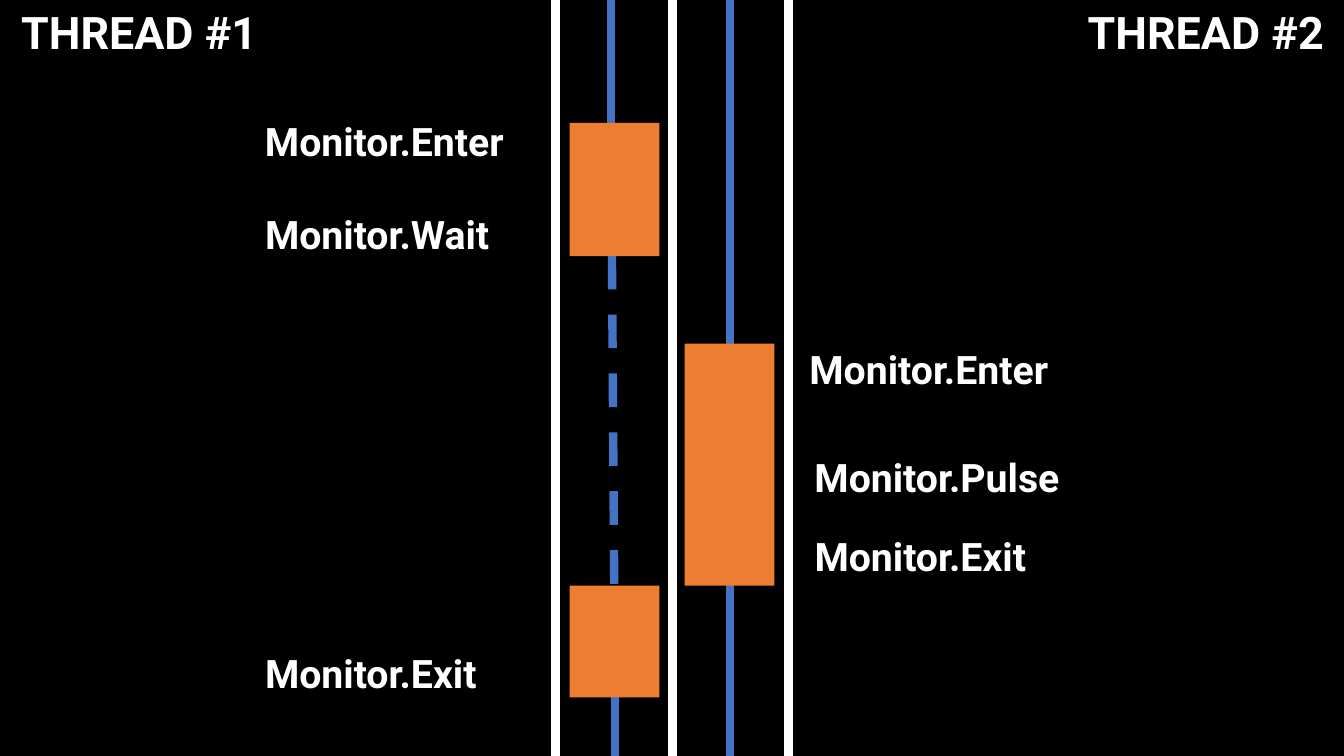
"""Build a slide showing two threads coordinating through Monitor calls."""
import lxml.etree
import pptx
import pptx.dml.color
import pptx.enum.dml
import pptx.enum.shapes
import pptx.enum.text
import pptx.oxml.ns
import pptx.util

Inches = pptx.util.Inches
WHITE, BLUE, ORANGE, BLACK = "FFFFFF", "4472C4", "ED7D31", "000000"


def rgb(color):
    return pptx.dml.color.RGBColor.from_string(color)


def write(s, text, *, left, top, width, height, size, color=WHITE, font="Roboto"):
    s.left, s.top, s.width, s.height = (Inches(v) for v in (left, top, width, height))
    tf = s.text_frame
    tf.word_wrap = True
    tf.auto_size = pptx.enum.text.MSO_AUTO_SIZE.NONE
    tf.vertical_anchor = pptx.enum.text.MSO_ANCHOR.TOP
    p = tf.paragraphs[0]
    p.alignment = pptx.enum.text.PP_ALIGN.LEFT
    r = p.add_run()
    r.text = text
    r.font.name, r.font.size, r.font.bold = font, pptx.util.Pt(size), True
    r.font.color.rgb = rgb(color)


prs = pptx.Presentation()
prs.slide_width, prs.slide_height = Inches(13.33), Inches(7.5)
slide = prs.slides.add_slide(prs.slide_layouts[5])
slide.background.fill.solid()
slide.background.fill.fore_color.rgb = rgb(BLACK)

lines = [
    (6.1, 6.96, 6.06, 1.16, BLUE, True),
    *[(x, 0, x, 7.5, WHITE, False) for x in (6.67, 5.51, 7.82)],
    (6.06, 1.54, 6.06, 0, BLUE, False),
    (7.24, 3.59, 7.24, 0, BLUE, False),
    (7.24, 7.5, 7.24, 3.91, BLUE, False),
    (6.1, 7.5, 6.1, 6.2, BLUE, False),
]
for x1, y1, x2, y2, color, dashed in lines:
    c = slide.shapes.add_connector(
        pptx.enum.shapes.MSO_CONNECTOR.STRAIGHT,
        Inches(x1), Inches(y1), Inches(x2), Inches(y2))
    c.line.color.rgb = rgb(color)
    c.line.width = pptx.util.Pt(6)
    if dashed:
        c.line.dash_style = pptx.enum.dml.MSO_LINE.DASH
    lxml.etree.SubElement(c._element.spPr, pptx.oxml.ns.qn("a:effectLst"))

write(slide.shapes.title, "THREAD #1", left=0.11, top=0, width=2.64, height=0.64, size=32)
s = slide.shapes.add_textbox(0, 0, 0, 0)
write(s, "THREAD #2", left=10.69, top=0, width=2.64, height=0.64, size=32)

calls = [
    ("Monitor.Enter", 2.53, 1.11, 2.76),
    ("Monitor.Wait", 2.53, 2.04, 2.65),
    ("Monitor.Exit", 2.53, 6.39, 2.48),
    ("Monitor.Enter", 7.93, 3.38, 2.76),
    ("Monitor.Pulse", 7.98, 4.45, 2.77),
    ("Monitor.Exit", 7.98, 5.23, 2.48),
]
for text, left, top, width in calls:
    s = slide.shapes.add_textbox(0, 0, 0, 0)
    write(s, text, left=left, top=top, width=width, height=0.57, size=28)

for left, top, height in [(5.65, 1.22, 1.32), (6.79, 3.41, 2.4), (5.65, 5.81, 1.11)]:
    s = slide.shapes.add_shape(
        pptx.enum.shapes.MSO_SHAPE.RECTANGLE,
        Inches(left), Inches(top), Inches(0.89), Inches(height))
    s.shadow.inherit = False
    s.fill.solid()
    s.fill.fore_color.rgb = rgb(ORANGE)
    s.line.fill.background()

prs.save("out.pptx")
